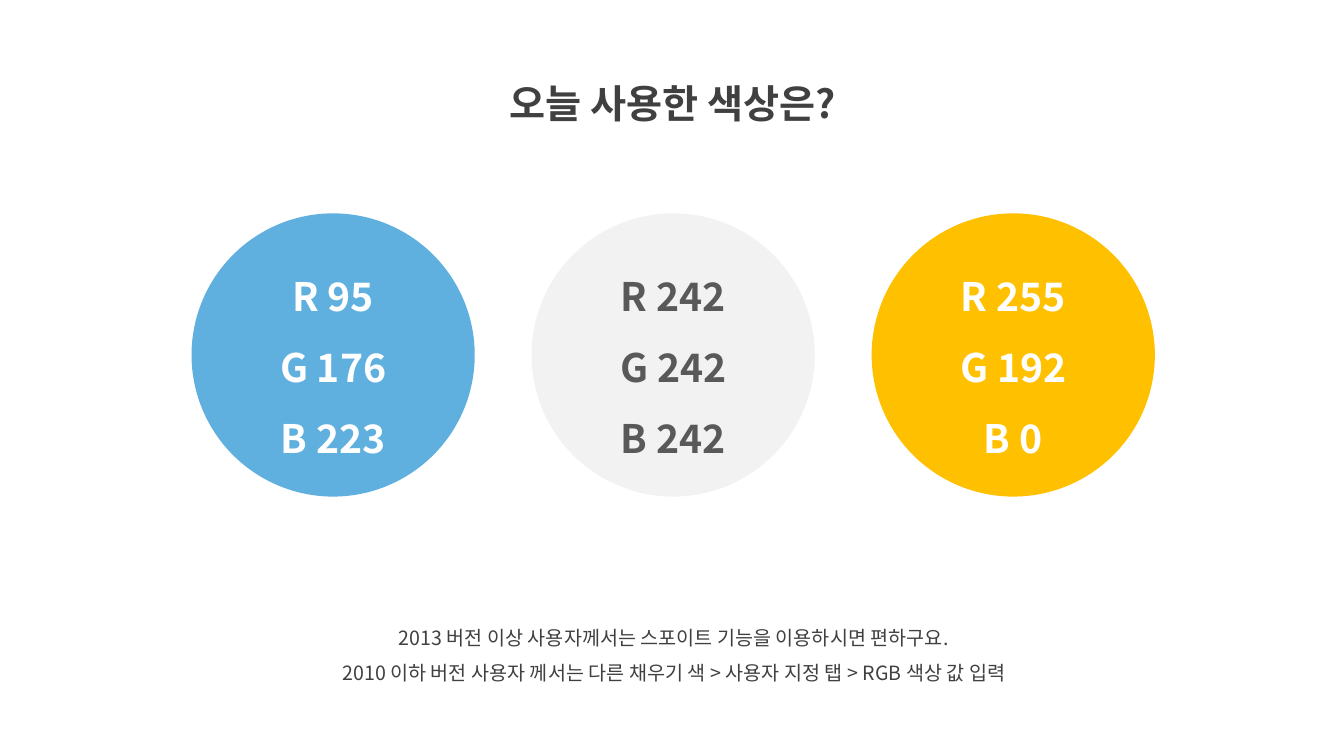
from lxml.etree import SubElement
from pptx import Presentation
from pptx.dml.color import RGBColor
from pptx.enum.shapes import MSO_SHAPE
from pptx.enum.text import MSO_ANCHOR as ANCHOR, MSO_AUTO_SIZE as AUTO, PP_ALIGN as ALIGN
from pptx.oxml.ns import qn
from pptx.util import Pt

FONT = "Noto Sans CJK KR"


def rgb(value):
    return RGBColor.from_string(value)


def write(tf, lines, color, formats):
    tf.word_wrap = True
    for i, line in enumerate(lines):
        p = tf.paragraphs[0] if i == 0 else tf.add_paragraph()
        p.alignment = ALIGN.CENTER
        p.line_spacing = 1.5
        r = p.add_run()
        r.text = line
        r.font.color.rgb = rgb(color)
        for name, value in formats.items():
            setattr(r.font, name, value)
        SubElement(r.font._element, qn("a:ea"), typeface=FONT)


prs = Presentation()
prs.slide_width, prs.slide_height = Pt(960), Pt(540)
s = prs.slides.add_slide(prs.slide_layouts[6])

HEADING = {"name": FONT, "size": Pt(28), "bold": True}
NOTE = {"name": FONT, "size": Pt(14), "bold": False}

texts = [
    (314, 36, 333.4, 51.8, HEADING, ["오늘 사용한 색상은?"]),
    (193.7, 434.9, 575.3, 58.3, NOTE, [
        "2013 버전 이상 사용자께서는 스포이트 기능을 이용하시면 편하구요.",
        "2010 이하 버전 사용자 께서는 다른 채우기 색 > 사용자 지정 탭 > RGB 색상 값 입력",
    ]),
]
for left, top, width, height, formats, lines in texts:
    sp = s.shapes.add_textbox(Pt(left), Pt(top), Pt(width), Pt(height))
    write(sp.text_frame, lines, "404040", formats)
    sp.text_frame.auto_size = AUTO.SHAPE_TO_FIT_TEXT

LEFT, TOP, SIZE, PITCH = 136.8, 152.4, 202.3, 242.9
swatches = [("5FB0DF", "FFFFFF"), ("F2F2F2", "595959"), ("FFC000", "FFFFFF")]
for i, (fill, color) in enumerate(swatches):
    sp = s.shapes.add_shape(MSO_SHAPE.OVAL, Pt(LEFT + i * PITCH), Pt(TOP), Pt(SIZE), Pt(SIZE))
    sp.shadow.inherit = False
    sp.fill.solid()
    sp.fill.fore_color.rgb = rgb(fill)
    sp.line.fill.background()
    sp.text_frame.vertical_anchor = ANCHOR.MIDDLE
    lines = [f"{channel} {value}" for channel, value in zip("RGB", rgb(fill))]
    write(sp.text_frame, lines, color, HEADING)

prs.save("out.pptx")
